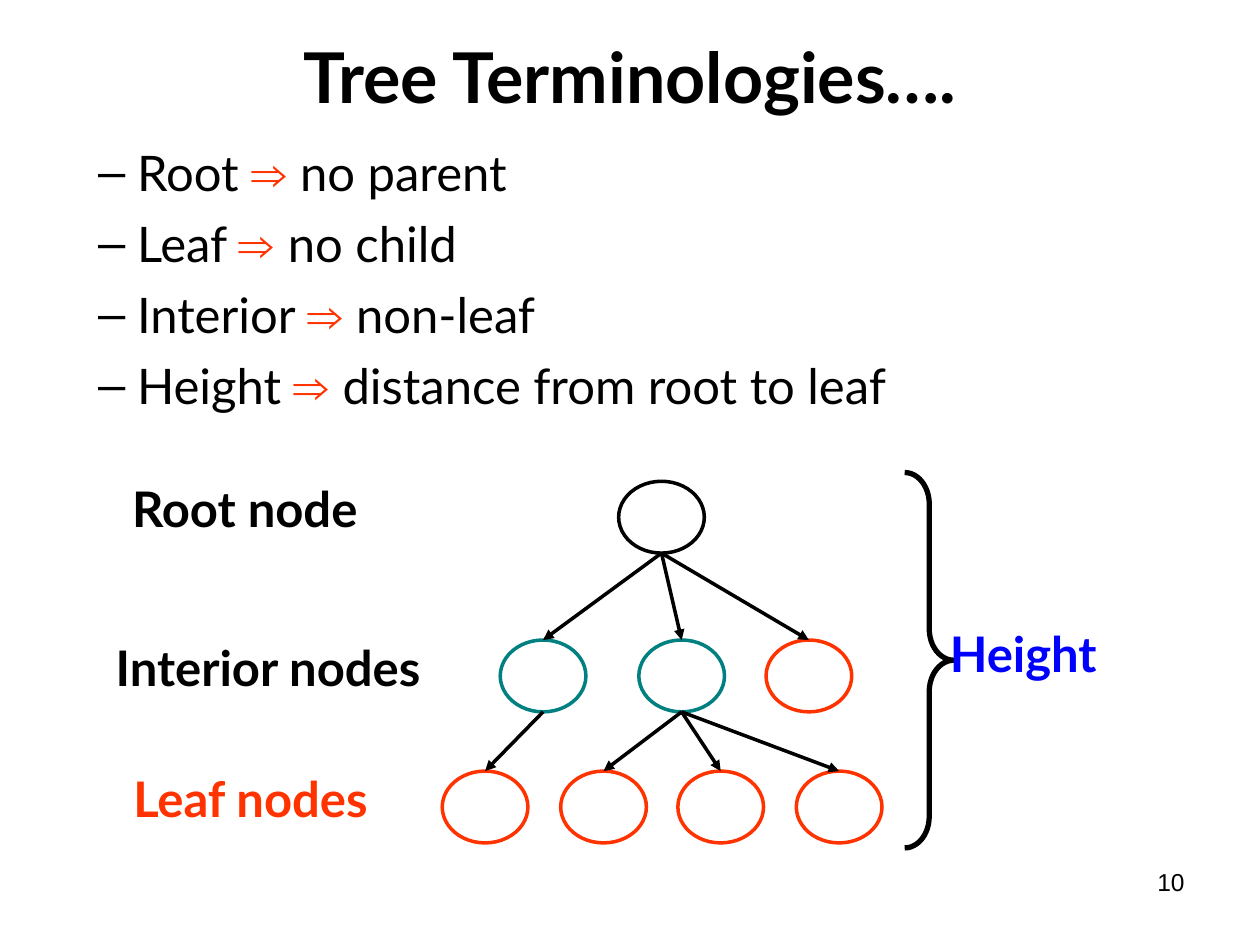
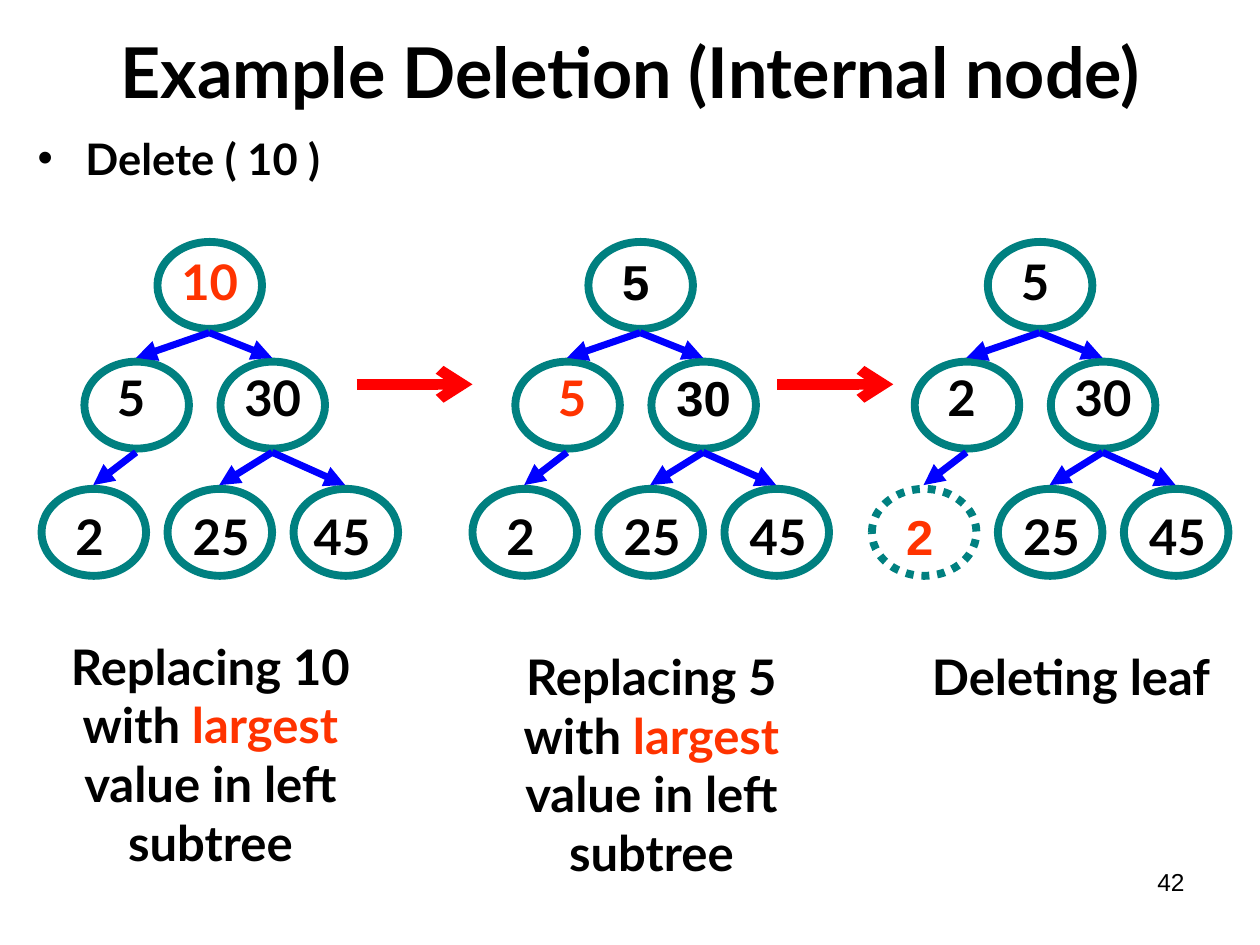
from lxml import etree
from pptx import Presentation
from pptx.dml.color import RGBColor
from pptx.enum.dml import MSO_LINE
from pptx.enum.shapes import MSO_CONNECTOR, MSO_SHAPE
from pptx.enum.text import MSO_ANCHOR, PP_ALIGN
from pptx.oxml.ns import qn
from pptx.util import Pt

LEFT, CENTER, RIGHT = PP_ALIGN.LEFT, PP_ALIGN.CENTER, PP_ALIGN.RIGHT
TOP, MIDDLE = MSO_ANCHOR.TOP, MSO_ANCHOR.MIDDLE
OVAL, BRACE = MSO_SHAPE.OVAL, MSO_SHAPE.RIGHT_BRACE
STRAIGHT, DOTTED = MSO_CONNECTOR.STRAIGHT, MSO_LINE.ROUND_DOT

PX = 9144  # 100 px to the inch
COLORS = {"black": "000000", "teal": "008080", "orange": "FF3300",
          "blue": "0000FF", "red": "FF0000"}
COLORS = {name: RGBColor.from_string(code) for name, code in COLORS.items()}
BODY_FONT, PLAIN_FONT = "Lato", "Arial"


def add_text(page, area, paragraphs, size=28, bold=True, align=LEFT, anchor=TOP):
    """Add a text box; each paragraph is a list of (text, color, font) runs."""
    box = page.shapes.add_textbox(*(v * PX for v in area))
    frame = box.text_frame
    frame.word_wrap = True
    frame.vertical_anchor = anchor
    for i, runs in enumerate(paragraphs):
        para = frame.add_paragraph() if i else frame.paragraphs[0]
        para.alignment = align
        for text, color, font in runs:
            span = para.add_run()
            span.text = text
            span.font.size = Pt(size)
            span.font.bold = bold
            span.font.name = font
            span.font.color.rgb = COLORS[color]
    return frame


def add_bullet(para, char, margin, hanging):
    """Give the paragraph a black bullet with a hanging indent."""
    props = para._p.get_or_add_pPr()
    props.set("marL", str(margin * PX))
    props.set("indent", str(-hanging * PX))
    tint = etree.SubElement(props, qn("a:buClr"))
    etree.SubElement(tint, qn("a:srgbClr"), val=str(COLORS["black"]))
    etree.SubElement(props, qn("a:buFont"), typeface=PLAIN_FONT)
    etree.SubElement(props, qn("a:buChar"), char=char)


deck = Presentation()
deck.slide_width, deck.slide_height = 1000 * PX, 750 * PX
blank = deck.slide_layouts[6]
terms_page, deletion_page = [deck.slides.add_slide(blank) for _ in range(2)]

# Titles and page numbers
for page, area, title, number in [
    (terms_page, (50, 25, 900, 70), "Tree Terminologies….", "10"),
    (deletion_page, (79, 17, 842, 78), "Example Deletion (Internal node)", "42"),
]:
    add_text(page, area, [[(title, "black", BODY_FONT)]], 40, True, CENTER, MIDDLE)
    add_text(page, (717, 683, 233, 52), [[(number, "black", PLAIN_FONT)]],
             14, False, RIGHT)

# Definitions
terms = [("Root ", "no parent"), ("Leaf ", "no child"), ("Interior ", "non-leaf"),
         ("Height ", "distance from root to leaf")]
definitions = add_text(
    terms_page, (18, 108, 964, 245),
    [[(term, "black", BODY_FONT), ("⇒ ", "orange", PLAIN_FONT),
      (meaning, "black", BODY_FONT)] for term, meaning in terms], bold=False)
for i, para in enumerate(definitions.paragraphs):
    add_bullet(para, "–", 81, 31)
    if i:
        para.space_before = Pt(7)

# Deletion command
command = add_text(deletion_page, (20, 108, 339, 53),
                   [[("Delete ( 10 )", "black", BODY_FONT)]], 24.8)
add_bullet(command.paragraphs[0], "•", 38, 38)
command.paragraphs[0].line_spacing = 0.8

ovals = []  # page, area, color, weight, dotted
lines = []  # page, start, end, color, weight, arrowhead

# Terminology tree: left, top and color of each node, then parent-child pairs
term_w, term_h = 68, 57
term_nodes = {
    "root": (491, 382, "black"),
    "inner 1": (397, 508, "teal"),
    "inner 2": (507, 508, "teal"),
    "leaf 0": (608, 508, "orange"),
}
for i in range(4):
    term_nodes[f"leaf {i + 1}"] = (351 + round(93.67 * i), 612, "orange")
term_edges = [("root", "inner 1"), ("root", "inner 2"), ("root", "leaf 0"),
              ("inner 1", "leaf 1"), ("inner 2", "leaf 2"),
              ("inner 2", "leaf 3"), ("inner 2", "leaf 4")]
for x, y, color in term_nodes.values():
    ovals.append((terms_page, (x, y, term_w, term_h), color, 2, False))
for parent, child in term_edges:
    (x1, y1, _), (x2, y2, _) = term_nodes[parent], term_nodes[child]
    lines.append((terms_page, (x1 + term_w // 2, y1 + term_h),
                  (x2 + term_w // 2, y2), "black", 2, "triangle"))

# Deletion trees: node left and top, label centre and width, from the tree's left
node_w, node_h, edge_gap = 83, 69, 3
slots = {
    "root": (92, 192, 129, 67),
    "left": (34, 287, 71, 42),
    "right": (142, 287, 183, 67),
    "leaf 1": (0, 388, 38, 42),
    "leaf 2": (100, 388, 142, 67),
    "leaf 3": (200, 388, 242, 67),
}
label_tops = {192: 195, 287: 287, 388: 397}
slot_edges = [("root", "left"), ("root", "right"), ("left", "leaf 1"),
              ("right", "leaf 2"), ("right", "leaf 3")]
# Tree left, values by slot, orange slot, Arial slots, label shifts, dotted slot
trees = [
    (33, ("10", "5", "30", "2", "25", "45"), "root", (),
     {"root": 4, "leaf 3": -4}, None),
    (375, ("5", "5", "30", "2", "25", "45"), "left", ("root", "right"),
     {"left": 8}, None),
    (692, ("5", "2", "30", "2", "25", "45"), "leaf 1", ("leaf 1",), {}, "leaf 1"),
]
labels = []
for origin, values, marked, plain, shifts, dotted in trees:
    for (slot, (x, y, centre, width)), value in zip(slots.items(), values):
        ovals.append((deletion_page, (origin + x, y, node_w, node_h),
                      "teal", 4.5, slot == dotted))
        middle = origin + centre + shifts.get(slot, 0)
        labels.append(((middle - width // 2, label_tops[y], width, 57),
                       (value, "orange" if slot == marked else "black",
                        PLAIN_FONT if slot in plain else BODY_FONT)))
    for parent, child in slot_edges:
        (x1, y1, *_), (x2, y2, *_) = slots[parent], slots[child]
        lines.append((deletion_page,
                      (origin + x1 + node_w // 2, y1 + node_h + edge_gap),
                      (origin + x2 + node_w // 2, y2 - edge_gap),
                      "blue", 4, "triangle"))

# Steps from tree to tree
for x in (283, 617):
    lines.append((deletion_page, (x, 305), (x + 92, 305), "red", 6, "arrow"))

# Draw nodes
for page, area, color, weight, dotted in ovals:
    node = page.shapes.add_shape(OVAL, *(v * PX for v in area))
    node.shadow.inherit = False
    node.fill.background()
    node.line.color.rgb = COLORS[color]
    node.line.width = Pt(weight)
    if dotted:
        node.line.dash_style = DOTTED

# Draw arrows
for page, start, end, color, weight, arrowhead in lines:
    arrow = page.shapes.add_connector(STRAIGHT, *(v * PX for v in start + end))
    arrow.line.color.rgb = COLORS[color]
    arrow.line.width = Pt(weight)
    etree.SubElement(arrow.line._get_or_add_ln(), qn("a:tailEnd"), type=arrowhead)
    etree.SubElement(arrow._element.spPr, qn("a:effectLst"))

# Height brace
brace = terms_page.shapes.add_shape(BRACE, 718 * PX, 375 * PX, 39 * PX, 298 * PX)
brace.shadow.inherit = False
brace.adjustments[0] = 0.64
brace.adjustments[1] = 0.5
brace.fill.background()
brace.line.color.rgb = COLORS["black"]
brace.line.width = Pt(3)

# Level names
for x, y, width, name, color in [
    (95, 375, 218, "Root node", "black"),
    (82, 501, 298, "Interior nodes", "black"),
    (96, 605, 230, "Leaf nodes", "orange"),
    (744, 490, 151, "Height", "blue"),
]:
    add_text(terms_page, (x, y, width, 57), [[(name, color, BODY_FONT)]])

# Node values
for area, run in labels:
    add_text(deletion_page, area, [[run]], align=CENTER)

# Captions below the trees
for x, y, height, replaced in [(42, 500, 244, "10"), (392, 508, 244, "5"),
                               (725, 508, 104, None)]:
    if replaced:
        caption = [(f"Replacing {replaced} with ", "black", BODY_FONT),
                   ("largest", "orange", BODY_FONT),
                   (" value in left subtree", "black", BODY_FONT)]
    else:
        caption = [("Deleting leaf", "black", BODY_FONT)]
    add_text(deletion_page, (x, y, 250, height), [caption], align=CENTER)

deck.save("out.pptx")
